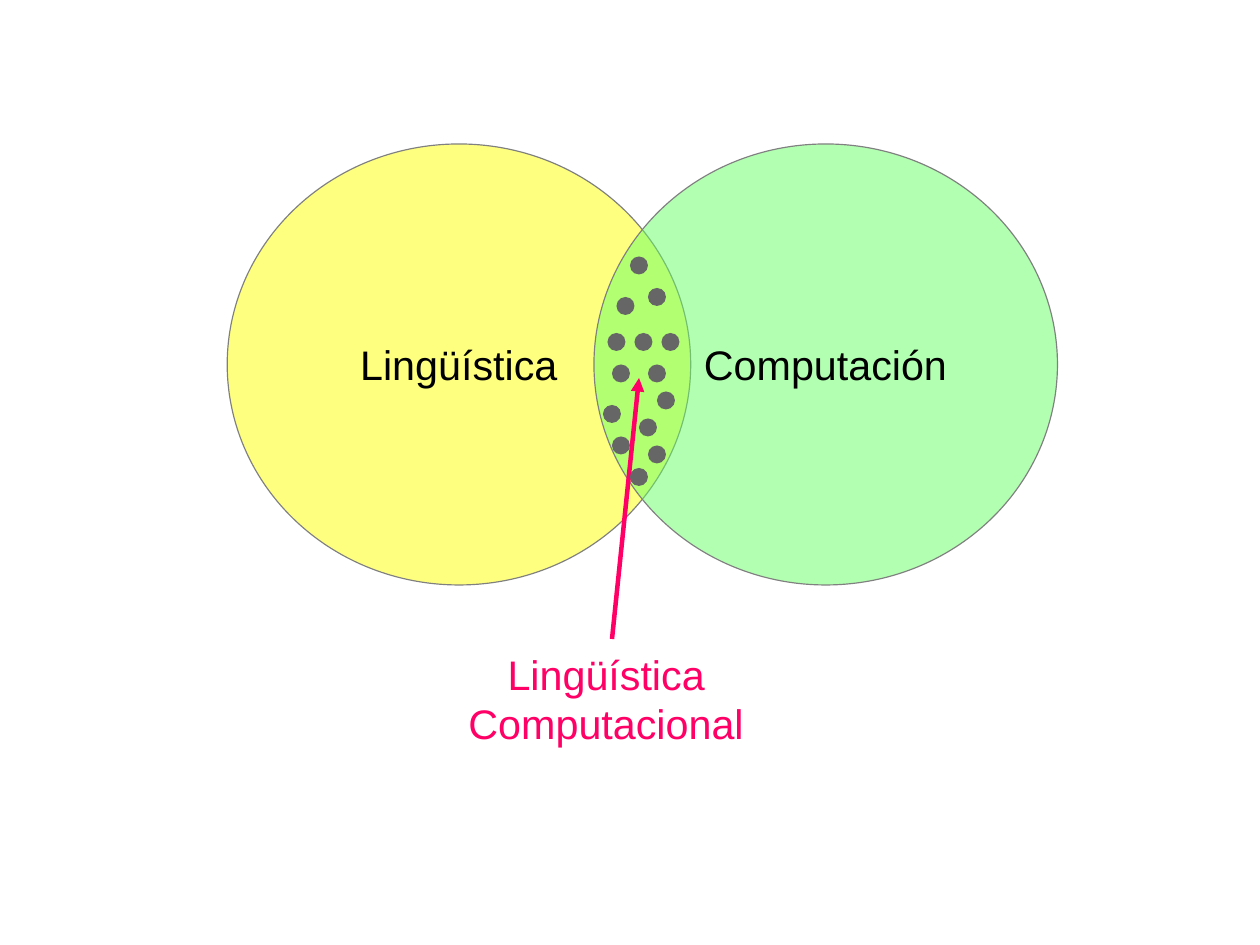
from dataclasses import dataclass

from lxml.etree import SubElement
from pptx import Presentation
from pptx.dml.color import RGBColor
from pptx.enum.shapes import MSO_CONNECTOR, MSO_SHAPE
from pptx.enum.text import MSO_ANCHOR, PP_ALIGN
from pptx.oxml.ns import qn
from pptx.util import Cm, Pt


@dataclass(frozen=True)
class Theme:
    """Colours, font and sizes of the slide."""
    font: str = "Arial"
    size: int = 26
    arrow_width: float = 2.83
    ink: str = "000000"
    accent: str = "FF0066"
    outline: str = "808080"
    dot: str = "666666"
    linguistics: str = "FFFF00"
    computing: str = "66FF66"


def write(tf, text, *, font, size, color, anchor=MSO_ANCHOR.TOP):
    """Write centred text, one paragraph per line."""
    tf.word_wrap = False
    tf.vertical_anchor = anchor
    for i, line in enumerate(text.split("\n")):
        p = tf.add_paragraph() if i else tf.paragraphs[0]
        p.alignment = PP_ALIGN.CENTER
        r = p.add_run()
        r.text = line
        r.font.name = font
        r.font.size = Pt(size)
        r.font.color.rgb = RGBColor.from_string(color)


class Canvas:
    """Draws themed elements on one slide."""

    def __init__(self, s, theme):
        """Keep the slide and its theme."""
        self.s = s
        self.theme = theme

    def text(self, tf, text, color, **kwargs):
        """Write text in the theme's font."""
        write(tf, text, font=self.theme.font, size=self.theme.size, color=color, **kwargs)

    def ellipse(self, x, y, w, h, color):
        """Add a plain filled ellipse."""
        sp = self.s.shapes.add_shape(MSO_SHAPE.OVAL, Cm(x), Cm(y), Cm(w), Cm(h))
        sp.shadow.inherit = False
        sp.fill.solid()
        sp.fill.fore_color.rgb = RGBColor.from_string(color)
        sp.line.fill.background()
        return sp

    def circle(self, x, y, w, h, color, label):
        """Add a labelled, half-transparent set."""
        sp = self.ellipse(x, y, w, h, color)
        rgb = sp.fill._xPr.find(qn("a:solidFill")).find(qn("a:srgbClr"))
        SubElement(rgb, qn("a:alpha"), val="50000")
        sp.line.color.rgb = RGBColor.from_string(self.theme.outline)
        sp.line.width = Pt(0)
        self.text(sp.text_frame, label, self.theme.ink, anchor=MSO_ANCHOR.MIDDLE)

    def arrow(self, x1, y1, x2, y2):
        """Add an accent arrow."""
        c = self.s.shapes.add_connector(MSO_CONNECTOR.STRAIGHT, Cm(x1), Cm(y1), Cm(x2), Cm(y2))
        c.line.color.rgb = RGBColor.from_string(self.theme.accent)
        c.line.width = Pt(self.theme.arrow_width)
        SubElement(c.line._get_or_add_ln(), qn("a:tailEnd"), type="triangle")
        SubElement(c._element.spPr, qn("a:effectLst"))

    def caption(self, x, y, w, h, text):
        """Add an accent text box."""
        tf = self.s.shapes.add_textbox(Cm(x), Cm(y), Cm(w), Cm(h)).text_frame
        self.text(tf, text, self.theme.accent)


DOT_SIZE = 0.4
DOTS = [
    (14, 5.7), (14.4, 6.4), (13.7, 6.6), (13.5, 7.4), (14.7, 7.4),
    (14.1, 7.4), (14.4, 8.1), (14.6, 8.7), (13.6, 8.1), (13.4, 9),
    (14.2, 9.3), (14.4, 9.9), (14, 10.4), (13.6, 9.7),
]


def main():
    """Build the Venn diagram slide."""
    prs = Presentation()
    prs.slide_width, prs.slide_height = Cm(28), Cm(21)
    theme = Theme()
    canvas = Canvas(prs.slides.add_slide(prs.slide_layouts[6]), theme)

    canvas.circle(5.05, 3.2, 10.3, 9.8, theme.linguistics, "Lingüística")
    canvas.circle(13.2, 3.2, 10.3, 9.8, theme.computing, "Computación")
    canvas.arrow(13.6, 14.2, 14.2, 8.4)
    for x, y in DOTS:
        canvas.ellipse(x, y, DOT_SIZE, DOT_SIZE, theme.dot)
    canvas.caption(10.15, 14.3, 6.65, 2.3, "Lingüística\nComputacional")

    prs.save("out.pptx")


if __name__ == "__main__":
    main()
